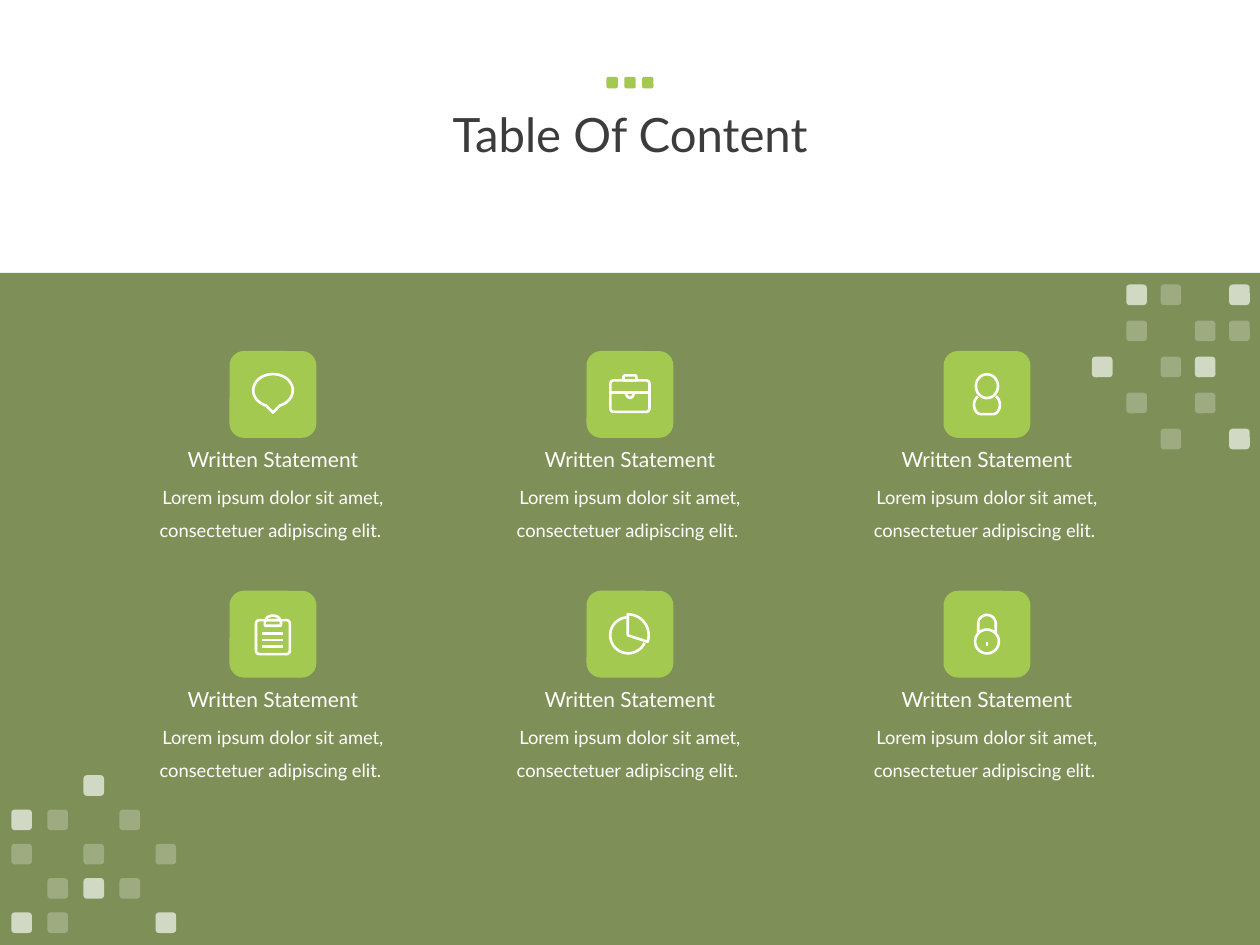
import math

import lxml.etree
import pptx
import pptx.dml.color
import pptx.enum.shapes
import pptx.enum.text
import pptx.oxml.ns
import pptx.util

Pt = pptx.util.Pt
SHAPES = pptx.enum.shapes.MSO_SHAPE
COLORS = {"title": "3C3C3C", "panel": "546C21", "accent": "A3C951", "white": "FFFFFF"}
FORMATS = {
    "title": {"size": Pt(27), "color": "title", "line_spacing": 0.9},
    "heading": {"size": Pt(12), "color": "white", "line_spacing": 1.0},
    "body": {"size": Pt(10.5), "color": "white", "line_spacing": 1.5},
}
TILE = 49.6
EVEN_STEP, WIDE_STEP = 19.6, 20.6
SQUARE_ALPHA = {"#": 65, "o": 25}


def color_of(name):
    """Look up a named colour."""
    return pptx.dml.color.RGBColor.from_string(COLORS[name])


def arc(x, y, radius_x, radius_y, start=0, end=360):
    """Points along an elliptical arc, angles in degrees clockwise from the right."""
    count = max(4, round((end - start) / 8))
    angles = [math.radians(start + (end - start) * i / count) for i in range(count + 1)]
    return [(x + radius_x * math.cos(a), y + radius_y * math.sin(a)) for a in angles]


def box(half, top, bottom, radius):
    """Closed outline of a centred rectangle with round corners."""
    x, low, high = half - radius, bottom - radius, top + radius
    centers = [(x, low), (-x, low), (-x, high), (x, high)]
    points = [point for i, center in enumerate(centers)
              for point in arc(*center, radius, radius, 90 * i, 90 * i + 90)]
    return points + points[:1]


def bar(half, y):
    """A centred horizontal stroke."""
    return [(-half, y), (half, y)]


def wedge(tip, curve):
    """An arc closed through a tip."""
    return [tip] + curve + [tip]


# Strokes in points around the centre of a tile.
ICONS = {
    "speech": [wedge((0, 10.4), arc(0, -2.3, 11.3, 9.3, 110, 430))],
    "briefcase": [box(11.2, -8, 10, 2), box(3.7, -10.9, -8, 1),
                  bar(11.2, -1), arc(0, -1, 2.2, 2.9, 0, 180)],
    "person": [arc(0, -4.7, 6.3, 6.8),
               arc(3.4, 6, 4, 5.3, -65, 90) + arc(-3.4, 6, 4, 5.3, 90, 245)],
    "clipboard": [box(9.7, -8, 11.4, 2), box(4.6, -8, -4.8, 0.5),
                  arc(0, -8, 4, 2.6, 180, 360)] + [bar(6, 3.8 * i - 0.4) for i in range(3)],
    "pie": [arc(-1, 0.6, 10.3, 10.3, 25, 265),
            wedge((-1.3, 0.6), arc(-1.3, 0.6, 12, 12, -90, 18))],
    "lock": [arc(0, 4.2, 6.8, 6.8), [(-5, -0.6)] + arc(0, -6, 5, 5, 180, 360) + [(5, -0.6)],
             [(0, 4.2), (0, 7)]],
}


def add_block(shapes, kind, left, top, width, height, color, alpha=100):
    """Add a filled preset shape with no line or shadow."""
    shape = shapes.add_shape(kind, Pt(left), Pt(top), Pt(width), Pt(height))
    shape.shadow.inherit = False
    shape.fill.solid()
    shape.fill.fore_color.rgb = color_of(color)
    shape.line.fill.background()
    if alpha < 100:
        node = next(shape.element.spPr.iter(pptx.oxml.ns.qn("a:srgbClr")))
        lxml.etree.SubElement(node, pptx.oxml.ns.qn("a:alpha"), val=str(alpha * 1000))


def add_text(slide, text, style, left, top, width, height):
    """Add a centred text box in one of the named formats."""
    text_box = slide.shapes.add_textbox(Pt(left), Pt(top), Pt(width), Pt(height))
    frame = text_box.text_frame
    frame.word_wrap = True
    frame.vertical_anchor = pptx.enum.text.MSO_ANCHOR.MIDDLE
    values = FORMATS[style]
    paragraph = frame.paragraphs[0]
    paragraph.alignment = pptx.enum.text.PP_ALIGN.CENTER
    paragraph.line_spacing = values["line_spacing"]
    run = paragraph.add_run()
    run.text = text
    for name, value in {"name": "Lato", "size": values["size"]}.items():
        setattr(run.font, name, value)
    run.font.color.rgb = color_of(values["color"])


def add_icon(slide, strokes, center_x, center_y):
    """Draw the strokes of an icon as one white outline."""
    placed = [[(Pt(center_x + x), Pt(center_y + y)) for x, y in points] for points in strokes]
    builder = slide.shapes.build_freeform(*placed[0][0], scale=1.0)
    for points in placed:
        builder.move_to(*points[0])
        builder.add_line_segments(points[1:], close=False)
    shape = builder.convert_to_shape()
    shape.shadow.inherit = False
    shape.fill.background()
    shape.line.color.rgb = color_of("white")
    shape.line.width = Pt(1.5)


def add_header(slide, left, top, width, height):
    """Place the title with three small squares above it."""
    add_text(slide, "Table Of Content", "title", left, top, width, height)
    dots = slide.shapes.add_group_shape()
    for i in (-1, 0, 1):
        add_block(dots.shapes, SHAPES.ROUNDED_RECTANGLE,
                  left + width / 2 + 10.2 * i - 3.25, top + 18, 6.5, 6.5, "accent")


def add_statement(slide, icon, center, top):
    """Place one entry: icon tile, heading and description."""
    add_block(slide.shapes, SHAPES.ROUNDED_RECTANGLE, center - TILE / 2, top, TILE, TILE, "accent")
    add_icon(slide, ICONS[icon], center, top + TILE / 2)
    add_text(slide, "Lorem ipsum dolor sit amet, consectetuer adipiscing elit. ", "body",
             center - 90, top + 68.2, 180, 43.2)
    add_text(slide, "Written Statement", "heading", center - 90, top + 51.2, 180, 21.6)


def add_squares(slide, pattern, left, top, step_x, step_y):
    """Place a group of translucent squares following a pattern of rows."""
    group = slide.shapes.add_group_shape()
    for row, line in enumerate(pattern.split()):
        for column, mark in enumerate(line):
            if mark in SQUARE_ALPHA:
                add_block(group.shapes, SHAPES.ROUNDED_RECTANGLE, left + column * step_x,
                          top + row * step_y, 11.8, 11.8, "white", SQUARE_ALPHA[mark])


def build():
    """Build and save the presentation."""
    presentation = pptx.Presentation()
    presentation.slide_width, presentation.slide_height = Pt(720), Pt(540)
    slide = presentation.slides.add_slide(presentation.slide_layouts[6])
    add_header(slide, 49.5, 26, 621, 104.4)
    add_block(slide.shapes, SHAPES.RECTANGLE, 0, 156, 720, 384, "panel", 75)
    for i, icon in enumerate(ICONS):
        add_statement(slide, icon, 156 + 204 * (i % 3), 200.6 + 137 * (i // 3))
    add_squares(slide, "..#.. #o.o. o.o.o .o#o. #o..#", 6.5, 443, WIDE_STEP, EVEN_STEP)
    add_squares(slide, ".#o.# .o.oo #.o#. .o.o. ..o.#", 624, 162.6, EVEN_STEP, WIDE_STEP)
    presentation.save("out.pptx")


build()
